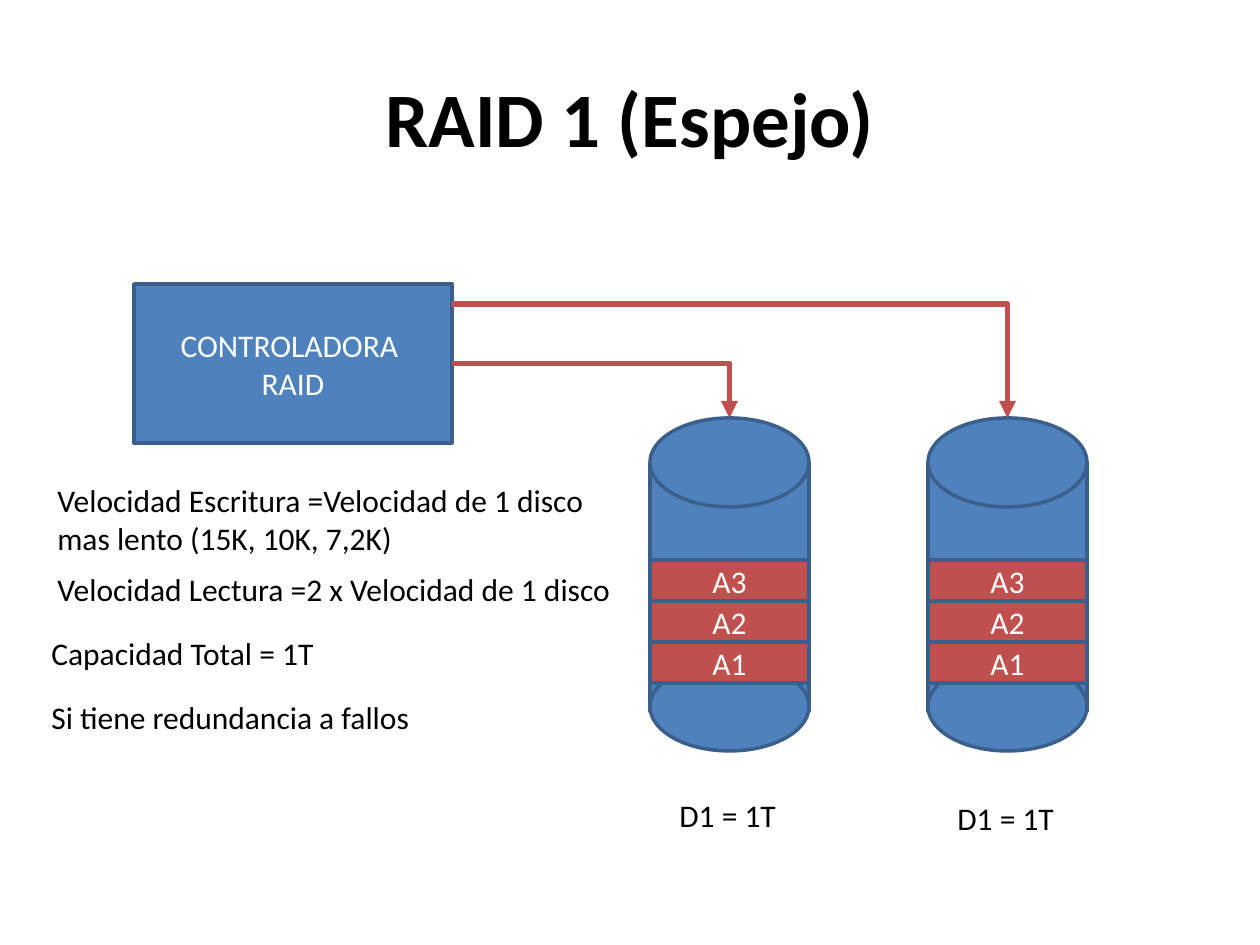
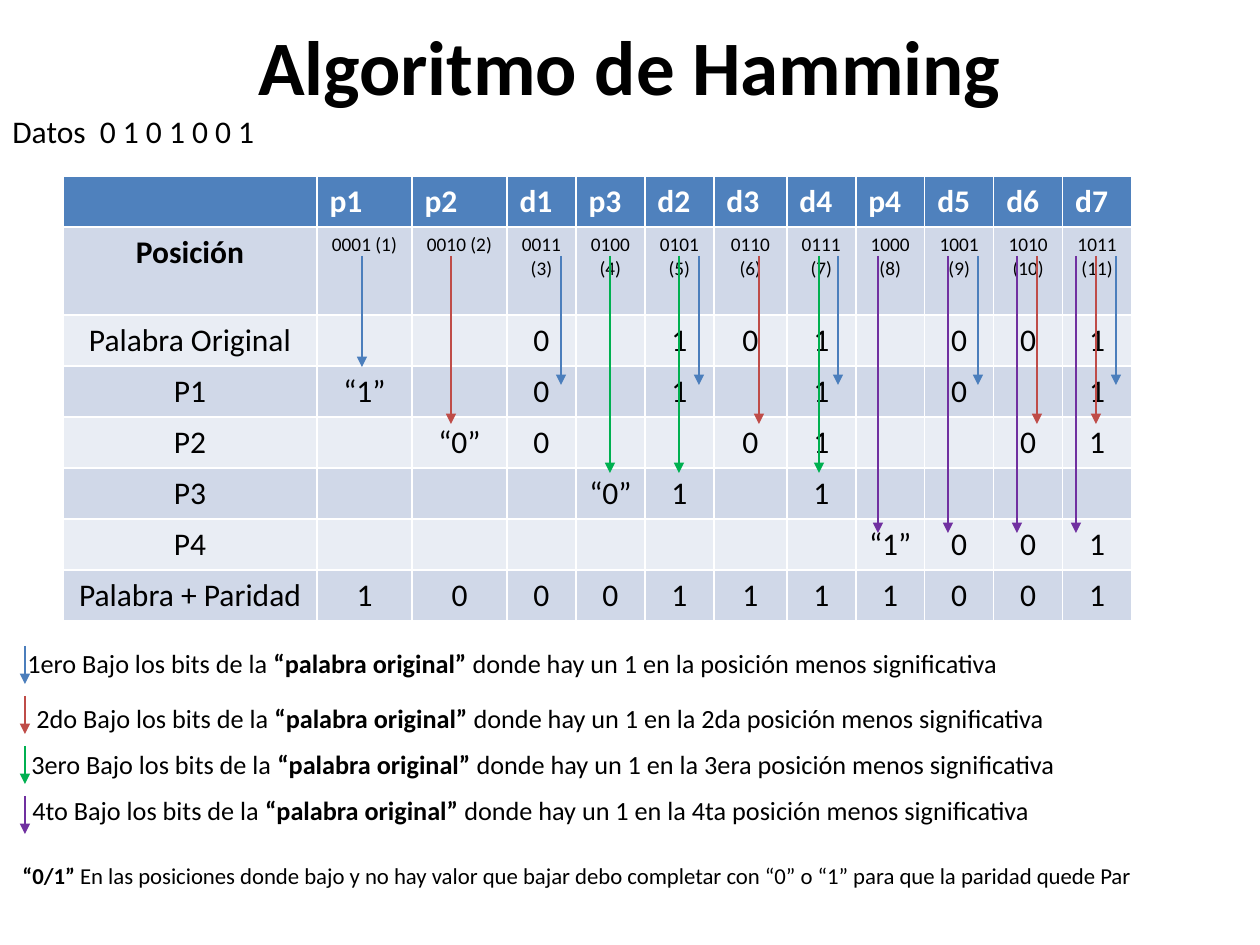
from lxml.etree import SubElement
from pptx import Presentation
from pptx.dml.color import RGBColor
from pptx.enum.shapes import MSO_CONNECTOR as LINE, MSO_SHAPE as SHAPE
from pptx.enum.text import MSO_ANCHOR as ANCHOR, MSO_AUTO_SIZE as AUTO_SIZE, PP_ALIGN as ALIGN
from pptx.oxml.ns import qn
from pptx.util import Emu, Pt

# Shared look
FONT = "Calibri"
BLACK = RGBColor(0x00, 0x00, 0x00)
WHITE = RGBColor(0xFF, 0xFF, 0xFF)
BLUE = RGBColor(0x4F, 0x81, 0xBD)
OUTLINE = RGBColor(0x3A, 0x5F, 0x8C)
RED = RGBColor(0xC0, 0x50, 0x4D)
BAND_DARK = RGBColor(0xD0, 0xD8, 0xE8)
BAND_LIGHT = RGBColor(0xE9, 0xED, 0xF4)
ARROW_BLUE = RGBColor(0x4B, 0x7E, 0xBC)
ARROW_RED = RGBColor(0xBF, 0x4C, 0x48)
ARROW_GREEN = RGBColor(0x00, 0xB0, 0x50)
ARROW_PURPLE = RGBColor(0x70, 0x30, 0xA0)
PX = 914400 / 126


def write(frame, runs, size, color, align=ALIGN.LEFT):
    """Fill a text frame with (text, bold) runs; a line break in a text starts a paragraph."""
    paragraph = frame.paragraphs[0]
    paragraph.alignment = align
    for text, bold in runs:
        for number, line in enumerate(text.split("\n")):
            if number:
                paragraph = frame.add_paragraph()
                paragraph.alignment = align
            run = paragraph.add_run()
            run.text = line
            run.font.name = FONT
            run.font.size = Pt(size)
            run.font.bold = bold
            run.font.color.rgb = color


def style_arrow(connector, color, width):
    """Colour a connector, give it a triangle head and no shadow."""
    connector.line.color.rgb = color
    connector.line.width = Pt(width)
    properties = connector._element.spPr
    SubElement(properties.find(qn("a:ln")), qn("a:tailEnd"), type="triangle")
    SubElement(properties, qn("a:effectLst"))


presentation = Presentation()
presentation.slide_width = Emu(round(1260 * PX))
presentation.slide_height = Emu(round(945 * PX))

# Slides and titles
slides = []
for title, top in (("RAID 1 (Espejo)", 38), ("Algoritmo de Hamming", -14)):
    slide = presentation.slides.add_slide(presentation.slide_layouts[6])
    box = slide.shapes.add_textbox(*(round(n * PX) for n in (63, top, 1134, 158)))
    box.text_frame.word_wrap = True
    box.text_frame.vertical_anchor = ANCHOR.MIDDLE
    write(box.text_frame, [(title, True)], 44, BLACK, ALIGN.CENTER)
    slides.append(slide)
raid, hamming = slides

# RAID: controller, two disks and their blocks
DISK_WIDTH, CAP_HEIGHT, BLOCK_HEIGHT = 159, 89, 41
DISK_LEFTS = (650, 928)
parts = [(raid.shapes, SHAPE.RECTANGLE, (134, 284, 318, 159), BLUE, "CONTROLADORA  RAID")]
for left in DISK_LEFTS:
    disk = raid.shapes.add_group_shape().shapes
    parts += [
        (disk, SHAPE.RECTANGLE, (left, 463, DISK_WIDTH, 248), BLUE, ""),
        (disk, SHAPE.OVAL, (left, 418, DISK_WIDTH, CAP_HEIGHT), BLUE, ""),
        (disk, SHAPE.OVAL, (left, 662, DISK_WIDTH, CAP_HEIGHT), BLUE, ""),
    ]
    for row, block in enumerate(("A3", "A2", "A1")):
        place = (left, 560 + row * BLOCK_HEIGHT, DISK_WIDTH, BLOCK_HEIGHT)
        parts.append((raid.shapes, SHAPE.RECTANGLE, place, RED, block))

controller = None
disk_tops = []
for shapes, kind, place, fill, label in parts:
    shape = shapes.add_shape(kind, *(round(n * PX) for n in place))
    shape.shadow.inherit = False
    shape.fill.solid()
    shape.fill.fore_color.rgb = fill
    shape.line.color.rgb = OUTLINE
    shape.line.width = Pt(2)
    if label:
        shape.text_frame.word_wrap = True
        shape.text_frame.vertical_anchor = ANCHOR.MIDDLE
        write(shape.text_frame, [(label, False)], 18, WHITE, ALIGN.CENTER)
    controller = controller or shape
    if place[1] == 418:
        disk_tops.append(shape)

# RAID: arrows from the controller to the disks
for disk_top, start in zip(disk_tops, (362, 304)):
    connector = raid.shapes.add_connector(
        LINE.ELBOW, round(452 * PX), round(start * PX), round(729 * PX), round(418 * PX))
    connector.end_connect(disk_top, 0)
    if start == 362:
        connector.begin_connect(controller, 3)
    connector._element.spPr.find(qn("a:prstGeom")).set("prst", "bentConnector2")
    style_arrow(connector, RED, 3.25)

# Free text of both slides: slide, place, wrap, size, runs
notes = [
    (raid, (45, 475, 602, 89), True, 18,
     [("Velocidad Escritura =Velocidad de 1 disco mas lento (15K, 10K, 7,2K)", False)]),
    (raid, (45, 564, 602, 50), True, 18, [("Velocidad Lectura =2 x Velocidad de 1 disco", False)]),
    (raid, (39, 628, 291, 50), False, 18, [("Capacidad Total = 1T", False)]),
    (raid, (39, 692, 388, 50), False, 18, [("Si tiene redundancia a fallos", False)]),
    (raid, (667, 790, 123, 50), False, 18, [("D1 = 1T", False)]),
    (raid, (945, 793, 123, 50), False, 18, [("D1 = 1T", False)]),
    (hamming, (0, 106, 271, 50), False, 18, [("Datos  0 1 0 1 0 0 1", False)]),
    (hamming, (5, 856, 1249, 40), True, 13,
     [(" “0/1” ", True),
      ("En las posiciones donde bajo y no hay valor que bajar debo completar con "
       "“0” o “1” para que la paridad quede Par", False)]),
]
for place, order, position in (
    ((15, 641, 1004, 44), "1ero", "posición"),
    ((24, 696, 1042, 44), "2do", "2da posición"),
    ((13, 742, 1065, 44), " 3ero", "3era posición"),
    ((14, 788, 1037, 44), " 4to", "4ta posición"),
):
    notes.append((hamming, place, False, 15,
                  [(f"{order} Bajo los bits de la ", False), ("“palabra original” ", True),
                   (f"donde hay un 1 en la {position} menos significativa", False)]))

# Hamming: table, with "-" for an empty cell
positions = [f"{n:04b} ({n})" if n < 3 else f"{n:04b}\n({n})" for n in range(1, 12)]
rows = [
    ["", *"p1 p2 d1 p3 d2 d3 d4 p4 d5 d6 d7".split()],
    ["Posición", *positions],
    ["Palabra Original", *"- - 0 - 1 0 1 - 0 0 1".split()],
    ["P1", *"“1” - 0 - 1 - 1 - 0 - 1".split()],
    ["P2", *"- “0” 0 - - 0 1 - - 0 1".split()],
    ["P3", *"- - - “0” 1 - 1 - - - -".split()],
    ["P4", *"- - - - - - - “1” 0 0 1".split()],
    ["Palabra + Paridad", *"1 0 0 0 1 1 1 1 0 0 1".split()],
]
column_widths = [254, 95, 95, 69, 69, 69, 73, 69, 69, 69, 69, 69]
row_heights = [51, 88] + [51] * 6
table = hamming.shapes.add_table(
    len(rows), len(column_widths),
    *(round(n * PX) for n in (63, 176, sum(column_widths), sum(row_heights)))).table
for column, width in zip(table.columns, column_widths):
    column.width = Emu(round(width * PX))
for r, (values, height) in enumerate(zip(rows, row_heights)):
    table.rows[r].height = Emu(round(height * PX))
    for c, value in enumerate(values):
        cell = table.cell(r, c)
        cell.fill.solid()
        cell.fill.fore_color.rgb = BLUE if r == 0 else BAND_DARK if r % 2 else BAND_LIGHT
        if value in ("", "-"):
            continue
        bold = r == 0 or value == "Posición"
        write(cell.text_frame, [(value, bold)], 11 if r == 1 and c else 18,
              BLACK if r else WHITE, ALIGN.CENTER if r else ALIGN.LEFT)

# Hamming: arrows down to each parity row, and one for each legend line
ARROW_TOP, LEGEND_X, LEGEND_TOP, LEGEND_STEP, LEGEND_LENGTH = 256, 25, 646, 50, 38
arrows = [(362, ARROW_TOP, 367, ARROW_BLUE)]
for number, (color, bottom, centers) in enumerate((
    (ARROW_BLUE, 385, (561, 699, 838, 978, 1116)),
    (ARROW_RED, 424, (451, 759, 1037, 1096)),
    (ARROW_GREEN, 473, (610, 679, 819)),
    (ARROW_PURPLE, 533, (878, 948, 1017, 1076)),
)):
    arrows += [(x, ARROW_TOP, bottom, color) for x in centers]
    legend_top = LEGEND_TOP + number * LEGEND_STEP
    arrows.append((LEGEND_X, legend_top, legend_top + LEGEND_LENGTH, color))
for x, top, bottom, color in arrows:
    connector = hamming.shapes.add_connector(
        LINE.STRAIGHT, *(round(n * PX) for n in (x, top, x, bottom)))
    style_arrow(connector, color, 0.75)

# Free text goes in front
for slide, place, wrap, size, runs in notes:
    box = slide.shapes.add_textbox(*(round(n * PX) for n in place))
    box.text_frame.word_wrap = wrap
    box.text_frame.auto_size = AUTO_SIZE.SHAPE_TO_FIT_TEXT
    write(box.text_frame, runs, size, BLACK)

presentation.save("out.pptx")
